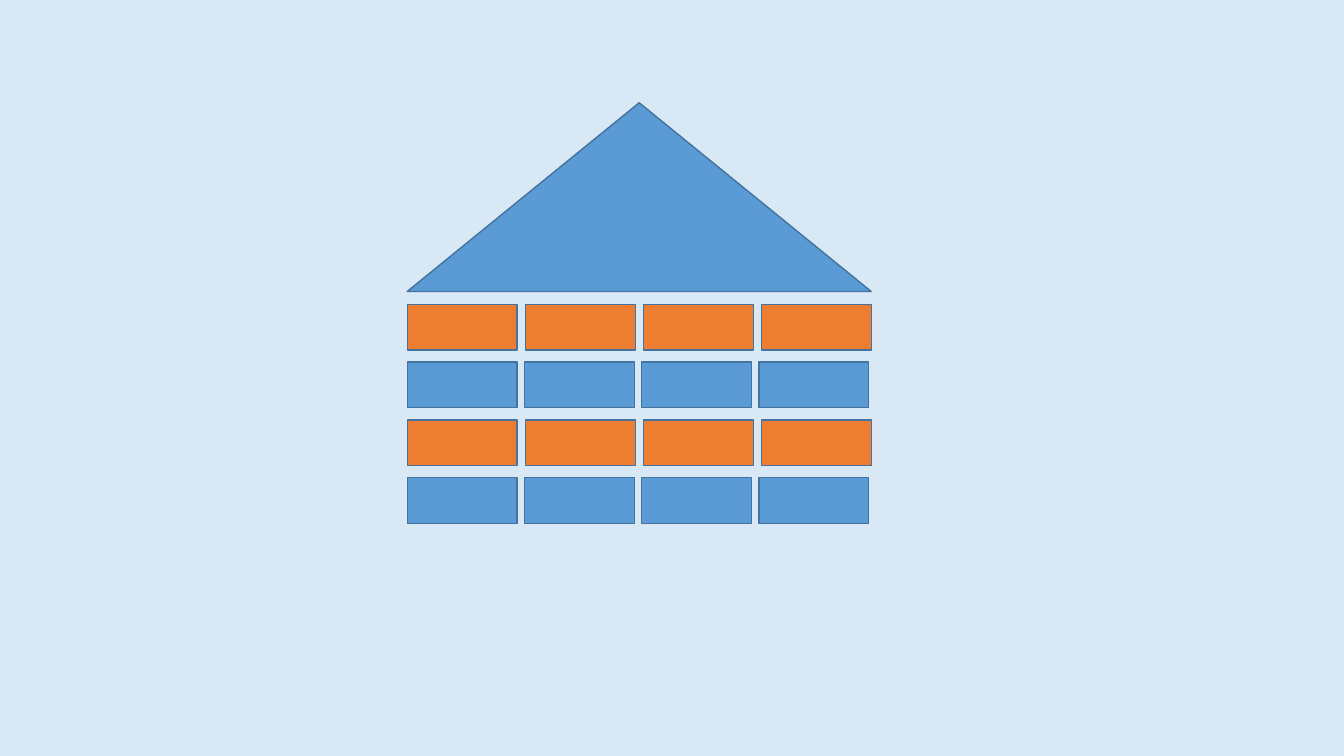
from dataclasses import dataclass

from pptx import Presentation
from pptx.dml.color import RGBColor
from pptx.enum.shapes import MSO_SHAPE as Shape
from pptx.util import Pt

# Courses from the ground up: colour name and spacing between brick left edges
COURSES = [("blue", 83.7), ("orange", 84.4)] * 2
BRICKS_PER_COURSE = 4

HOUSE_LEFT = 290.9
BOTTOM_COURSE_TOP = 341.3
COURSE_PITCH = 41.3
BRICK_WIDTH, BRICK_HEIGHT = 78.5, 32.6
ROOF_TOP, ROOF_WIDTH, ROOF_HEIGHT = 73.4, 331.4, 134.8


@dataclass(frozen=True)
class Theme:
    background: RGBColor = RGBColor.from_string("D9E8F5")
    blue: RGBColor = RGBColor.from_string("5B9BD5")
    orange: RGBColor = RGBColor.from_string("ED7D31")
    outline: RGBColor = RGBColor.from_string("43739E")
    outline_width: float = 1


THEME = Theme()


def add_part(slide, kind, left, top, width, height, color):
    part = slide.shapes.add_shape(kind, Pt(left), Pt(top), Pt(width), Pt(height))
    part.shadow.inherit = False
    part.fill.solid()
    part.fill.fore_color.rgb = color
    part.line.color.rgb = THEME.outline
    part.line.width = Pt(THEME.outline_width)


def add_walls(slide):
    for row, (color_name, brick_pitch) in enumerate(COURSES):
        top = BOTTOM_COURSE_TOP - row * COURSE_PITCH
        for column in range(BRICKS_PER_COURSE):
            left = HOUSE_LEFT + column * brick_pitch
            add_part(slide, Shape.RECTANGLE, left, top, BRICK_WIDTH, BRICK_HEIGHT,
                     getattr(THEME, color_name))


def main():
    deck = Presentation()
    deck.slide_width, deck.slide_height = Pt(960), Pt(540)
    slide = deck.slides.add_slide(deck.slide_layouts[6])
    slide.background.fill.solid()
    slide.background.fill.fore_color.rgb = THEME.background

    add_walls(slide)
    add_part(slide, Shape.ISOSCELES_TRIANGLE, HOUSE_LEFT, ROOF_TOP,
             ROOF_WIDTH, ROOF_HEIGHT, THEME.blue)
    deck.save("out.pptx")


if __name__ == "__main__":
    main()
